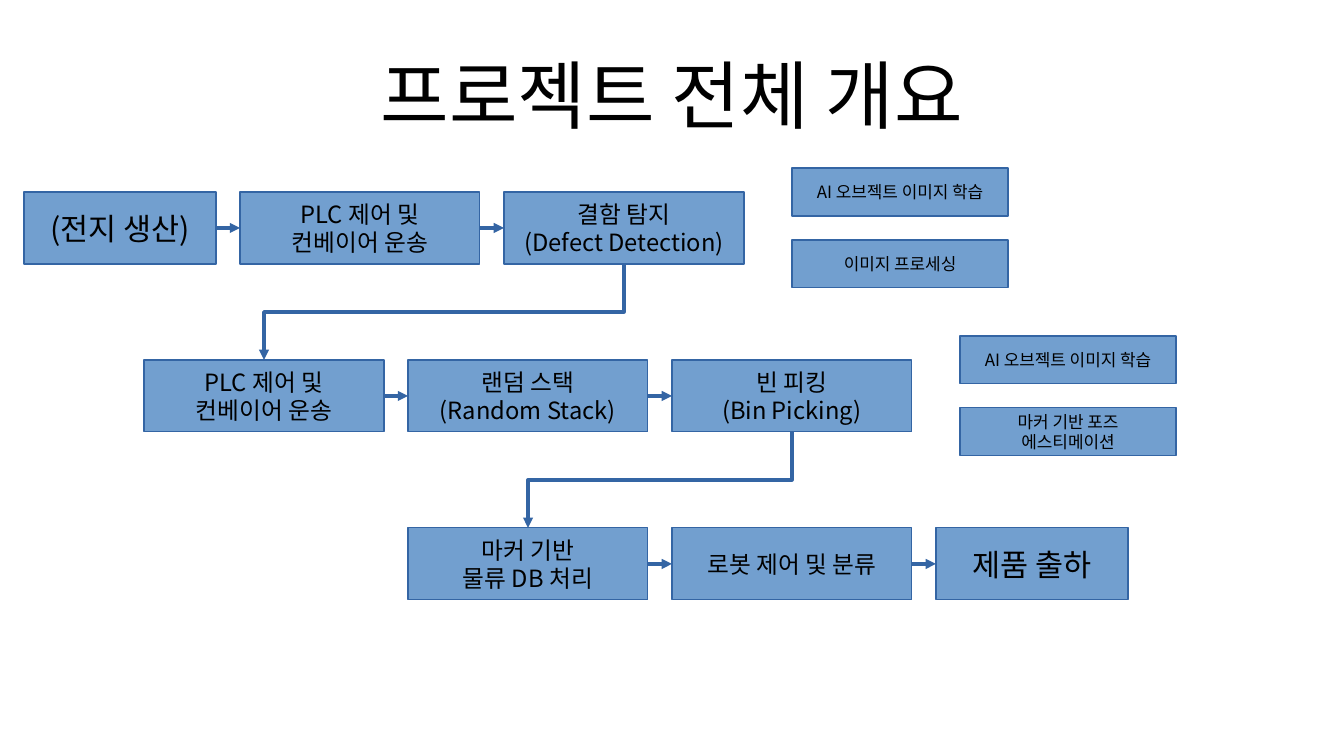
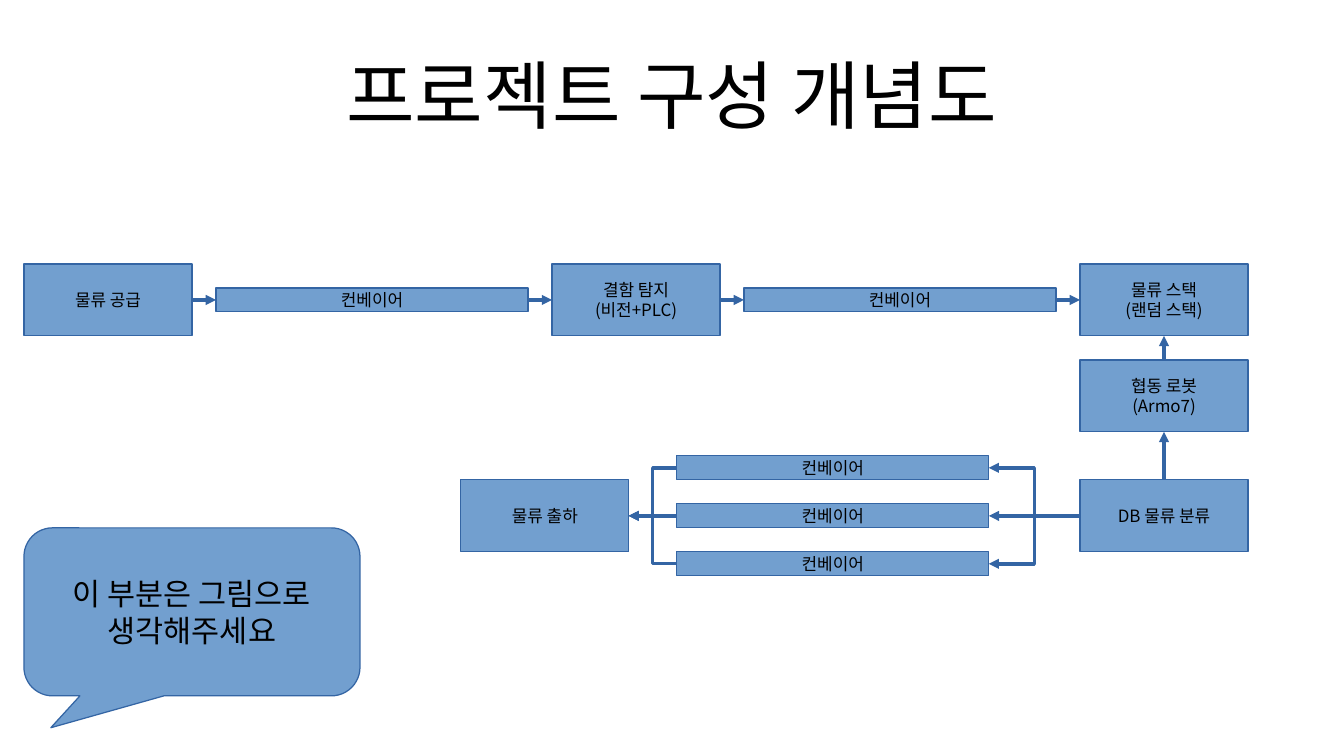
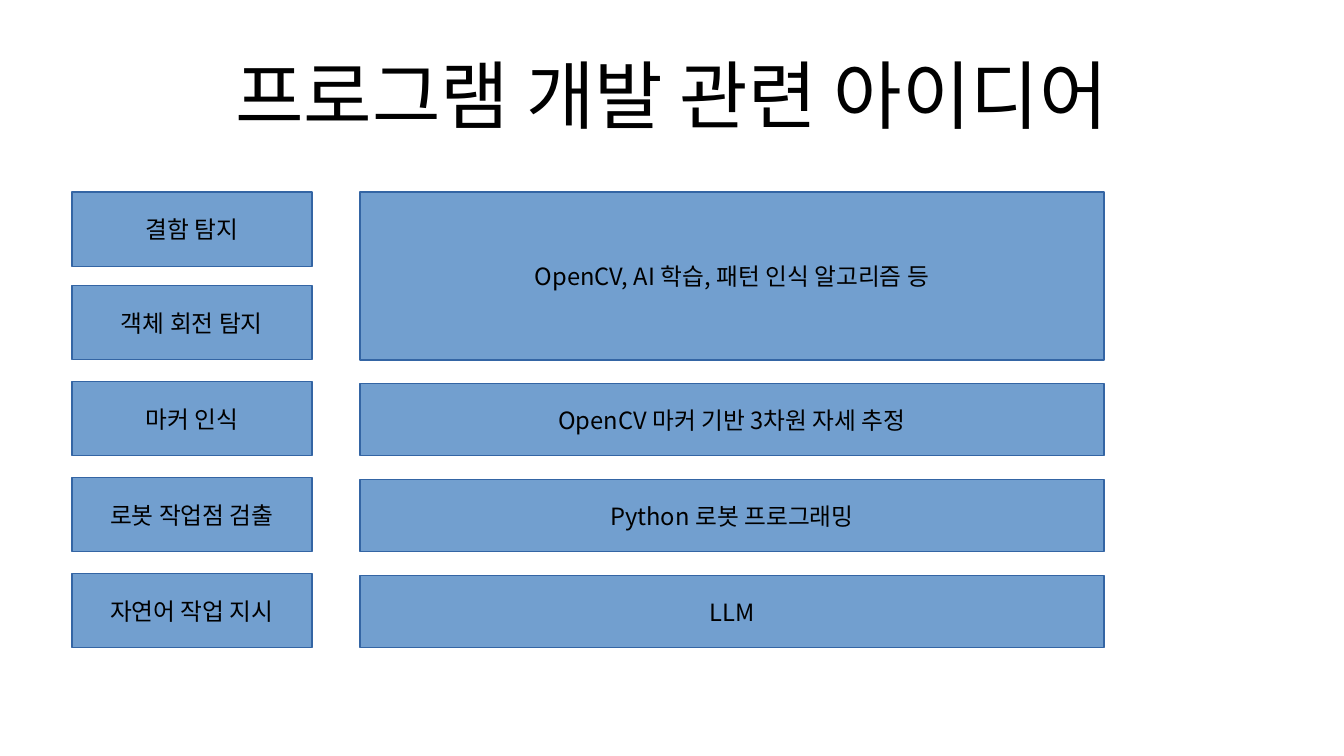
from lxml.etree import SubElement
from pptx import Presentation
from pptx.dml.color import RGBColor
from pptx.enum.shapes import MSO_CONNECTOR as Link, MSO_SHAPE as Shape
from pptx.enum.text import MSO_ANCHOR as Anchor, PP_ALIGN as Align
from pptx.oxml.ns import qn
from pptx.util import Inches, Pt

WIDTH, HEIGHT = Inches(11.02), Inches(6.2)
COLUMNS = 56
CELL = WIDTH / COLUMNS
FONT = "Noto Sans CJK KR"
BOX_FILL, BOX_LINE, INK = "729FCF", "3465A4", "000000"
TITLE_SIZE, LARGE, MEDIUM, SMALL = 44, 18, 14, 10
TOP, LEFT, BOTTOM, RIGHT = range(4)


def colour(value):
    return RGBColor.from_string(value)


def grid(*cells):
    return [round(cell * CELL) for cell in cells]


def apply_format(target, values):
    for name, value in values.items():
        setattr(target, name, value)


def write_text(frame, text, size, margins):
    apply_format(frame, {"word_wrap": True, "vertical_anchor": Anchor.MIDDLE, **margins})
    for index, line in enumerate(text.split("\n")):
        para = frame.paragraphs[0] if index == 0 else frame.add_paragraph()
        para.alignment = Align.CENTER
        span = para.add_run()
        span.text = line
        apply_format(span.font, {"size": Pt(size), "name": FONT})
        span.font.color.rgb = colour(INK)
        SubElement(span.font._element, qn("a:ea")).set("typeface", FONT)


def style_line(line):
    line.color.rgb = colour(BOX_LINE)
    line.width = Pt(0)


def add_page(deck, title):
    page = deck.slides.add_slide(deck.slide_layouts[6])
    box = page.shapes.add_textbox(
        round(WIDTH * 0.05), round(HEIGHT * 0.04), round(WIDTH * 0.9), round(HEIGHT * 0.1675)
    )
    sides = ("margin_left", "margin_top", "margin_right", "margin_bottom")
    write_text(box.text_frame, title, TITLE_SIZE, dict.fromkeys(sides, 0))
    return page


def add_box(page, text, size, column, row, columns, rows, kind=Shape.RECTANGLE):
    box = page.shapes.add_shape(kind, *grid(column, row, columns, rows))
    box.shadow.inherit = False
    box.fill.solid()
    box.fill.fore_color.rgb = colour(BOX_FILL)
    style_line(box.line)
    margins = {"margin_left": Inches(0.1), "margin_right": Inches(0.1),
               "margin_top": Inches(0.05), "margin_bottom": Inches(0.05)}
    write_text(box.text_frame, text, size, margins)
    return box


def turn_downward(arrow):
    left, top, width, height = arrow.left, arrow.top, arrow.width, arrow.height
    apply_format(arrow, {
        "left": left + (width - height) // 2,
        "top": top + (height - width) // 2,
        "width": height,
        "height": width,
    })
    frame = arrow._element.spPr.find(qn("a:xfrm"))
    frame.attrib.pop("flipH", None)
    frame.set("rot", "5400000")


def add_arrow(page, start, end, start_side=RIGHT, end_side=LEFT, kind=Link.STRAIGHT):
    arrow = page.shapes.add_connector(kind, 0, 0, 0, 0)
    arrow.begin_connect(start, start_side)
    arrow.end_connect(end, end_side)
    if kind == Link.ELBOW and start_side == BOTTOM:
        turn_downward(arrow)
    style_line(arrow.line)
    SubElement(arrow.line._get_or_add_ln(), qn("a:tailEnd")).set("type", "triangle")
    SubElement(arrow._element.spPr, qn("a:effectLst"))


def add_chain(page, column, row, rows, steps, gap=1):
    boxes = []
    for text, size, columns, height in steps:
        top = row + (rows - height) / 2
        boxes.append(add_box(page, text, size, column, top, columns, height))
        column += columns + gap
    for start, end in zip(boxes, boxes[1:]):
        add_arrow(page, start, end)
    return boxes


def add_methods(page, column, row, texts):
    for index, text in enumerate(texts):
        add_box(page, text, SMALL, column, row + 3 * index, 9, 2)


def build_overview(deck):
    page = add_page(deck, "프로젝트 전체 개요")
    transport = ("PLC 제어 및\n컨베이어 운송", MEDIUM, 10, 3)
    rows = [
        (1, [("(전지 생산)", LARGE, 8, 3), transport,
             ("결함 탐지\n(Defect Detection)", MEDIUM, 10, 3)]),
        (6, [transport, ("랜덤 스택\n(Random Stack)", MEDIUM, 10, 3),
             ("빈 피킹\n(Bin Picking)", MEDIUM, 10, 3)]),
        (17, [("마커 기반\n물류 DB 처리", MEDIUM, 10, 3),
              ("로봇 제어 및 분류", MEDIUM, 10, 3), ("제품 출하", LARGE, 8, 3)]),
    ]
    chains = [add_chain(page, column, 8 + 7 * index, 3, steps)
              for index, (column, steps) in enumerate(rows)]
    for upper, lower in zip(chains, chains[1:]):
        add_arrow(page, upper[-1], lower[0], BOTTOM, TOP, Link.ELBOW)
    learning = "AI 오브젝트 이미지 학습"
    add_methods(page, 33, 7, [learning, "이미지 프로세싱"])
    add_methods(page, 40, 14, [learning, "마커 기반 포즈 에스티메이션"])


def add_sorting_lanes(page, column, row, source, target):
    for index in range(3):
        lane = add_box(page, "컨베이어", SMALL, column, row + 2 * index, 13, 1)
        kind = Link.STRAIGHT if index == 1 else Link.ELBOW
        add_arrow(page, source, lane, LEFT, RIGHT, kind)
        add_arrow(page, lane, target, LEFT, RIGHT, kind)


def build_concept(deck):
    page = add_page(deck, "프로젝트 구성 개념도")
    conveyor = ("컨베이어", SMALL, 13, 1)
    stack = add_chain(page, 1, 11, 3, [
        ("물류 공급", SMALL, 7, 3), conveyor,
        ("결함 탐지\n(비전+PLC)", SMALL, 7, 3), conveyor,
        ("물류 스택\n(랜덤 스택)", SMALL, 7, 3),
    ])[-1]
    robot = add_box(page, "협동 로봇\n(Armo7)", SMALL, 45, 15, 7, 3)
    sorting = add_box(page, "DB 물류 분류", SMALL, 45, 20, 7, 3)
    shipping = add_box(page, "물류 출하", SMALL, 19.2, 20, 7, 3)
    add_arrow(page, robot, stack, TOP, BOTTOM)
    add_arrow(page, sorting, robot, TOP, BOTTOM)
    add_sorting_lanes(page, 28.2, 19, sorting, shipping)
    callout = add_box(page, "이 부분은 그림으로 생각해주세요", LARGE, 1, 22, 14, 7,
                      Shape.ROUNDED_RECTANGULAR_CALLOUT)
    for index, value in enumerate((-0.42, 0.69, 0.17)):
        callout.adjustments[index] = value


def build_ideas(deck):
    page = add_page(deck, "프로그램 개발 관련 아이디어")
    first, pitch = 8, 4
    tasks = ["결함 탐지", "객체 회전 탐지", "마커 인식", "로봇 작업점 검출", "자연어 작업 지시"]
    for index, task in enumerate(tasks):
        row = max(first, first - 0.1 + pitch * index)
        add_box(page, task, MEDIUM, 3, row, 10, 3.1)
    tools = [
        ("OpenCV, AI 학습, 패턴 인식 알고리즘 등", 0, 2),
        ("OpenCV 마커 기반 3차원 자세 추정", 2, 1),
        ("Python 로봇 프로그래밍", 3, 1),
        ("LLM", 4, 1),
    ]
    for text, index, count in tools:
        add_box(page, text, MEDIUM, 15, first + pitch * index, 31, pitch * count - 1)


def main():
    deck = Presentation()
    apply_format(deck, {"slide_width": WIDTH, "slide_height": HEIGHT})
    for build in (build_overview, build_concept, build_ideas):
        build(deck)
    deck.save("out.pptx")


if __name__ == "__main__":
    main()
